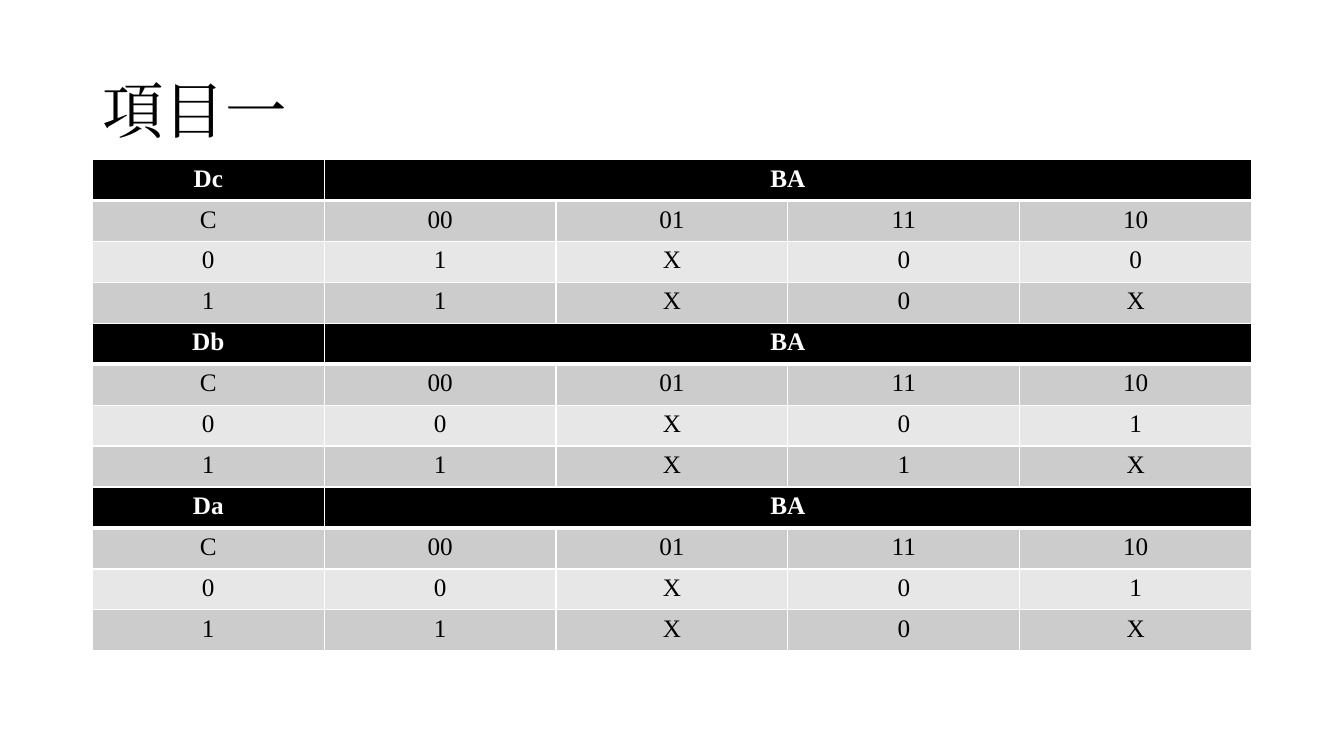
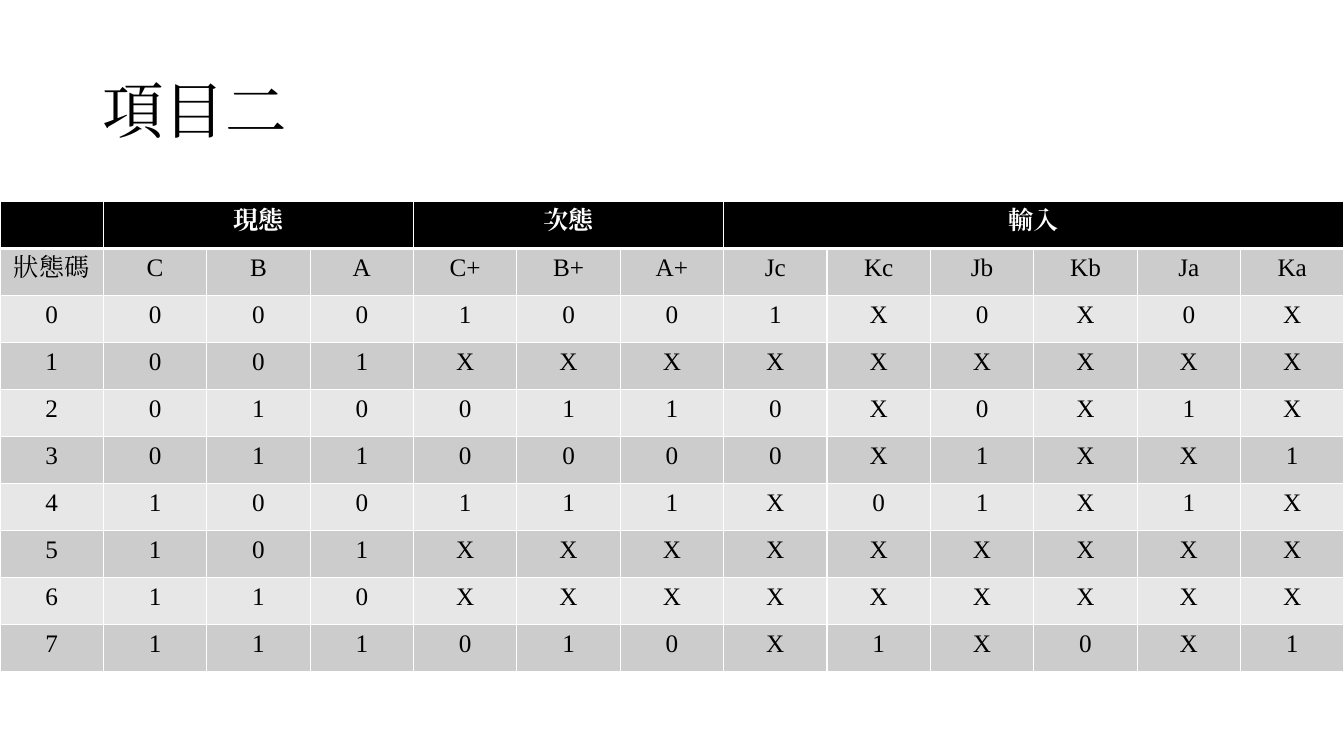
from lxml.etree import SubElement as Sub
from pptx import Presentation as Deck
from pptx.dml.color import RGBColor as RGB
from pptx.enum.lang import MSO_LANGUAGE_ID as Lang
from pptx.enum.text import MSO_ANCHOR as Anchor, PP_ALIGN as Align
from pptx.oxml.ns import qn
from pptx.util import Pt

INK = {"head": "000000", "odd": "CCCCCC", "even": "E7E7E7",
       "text": "000000", "line": "FFFFFF"}
FONT = "Times New Roman"
WIDE, HIGH = 960, 540
EDGE = 66


def write(frame, text, size=18, ink="text", bold=False, align=Align.CENTER, lead=1.0):
    para = frame.paragraphs[0]
    para.alignment = align
    para.line_spacing = lead
    run = para.add_run()
    run.text = text
    font = run.font
    font.name, font.size, font.bold = FONT, Pt(size), bold
    font.color.rgb = RGB.from_string(INK[ink])
    font.language_id = Lang.TRADITIONAL_CHINESE
    Sub(run._r.get_or_add_rPr(), qn("a:ea"), typeface=FONT)


def rule(cell, top, low):
    props = cell._tc.get_or_add_tcPr()
    for side, width in (("L", 1), ("R", 1), ("T", top), ("B", low)):
        line = Sub(props, qn(f"a:ln{side}"), w=str(Pt(width)))
        fill = Sub(line, qn("a:solidFill"))
        Sub(fill, qn("a:srgbClr"), val=INK["line"])


class Board:
    def __init__(self):
        self.deck = Deck()
        self.deck.slide_width, self.deck.slide_height = Pt(WIDE), Pt(HIGH)
        self.slide = None

    def page(self, title):
        self.slide = self.deck.slides.add_slide(self.deck.slide_layouts[6])
        box = self.slide.shapes.add_textbox(
            Pt(EDGE), Pt(28.75), Pt(WIDE - 2 * EDGE), Pt(104.4))
        frame = box.text_frame
        frame.word_wrap = True
        frame.vertical_anchor = Anchor.MIDDLE
        write(frame, title, size=44, align=Align.LEFT, lead=0.9)

    def grid(self, left, top, width, step, heads, body):
        count = sum(span for _, span in heads)
        size = len(body) + 1
        table = self.slide.shapes.add_table(
            size, count, Pt(left), Pt(top), Pt(width), Pt(step * size)).table
        for col in table.columns:
            col.width = Pt(width / count)
        for row in table.rows:
            row.height = Pt(step)
        for y in range(size):
            for x in range(count):
                self.cell(table.cell(y, x), y)
        x = 0
        for text, span in heads:
            cell = table.cell(0, x)
            if span > 1:
                cell.merge(table.cell(0, x + span - 1))
            if text:
                write(cell.text_frame, text, ink="line", bold=True)
            x += span
        for y, row in enumerate(body, 1):
            for x, text in enumerate(row.split()):
                write(table.cell(y, x).text_frame, text)

    def cell(self, cell, y):
        rule(cell, 3 if y == 1 else 1, 3 if y == 0 else 1)
        tone = "head" if y == 0 else "odd" if y % 2 else "even"
        cell.fill.solid()
        cell.fill.fore_color.rgb = RGB.from_string(INK[tone])


def main():
    board = Board()
    board.page("項目一")
    maps = {
        "Dc": ["0 1 X 0 0", "1 1 X 0 X"],
        "Db": ["0 0 X 0 1", "1 1 X 1 X"],
        "Da": ["0 0 X 0 1", "1 1 X 0 X"],
    }
    for i, (name, rows) in enumerate(maps.items()):
        board.grid(EDGE, 114 + 117 * i, WIDE - 2 * EDGE, 29.2,
                   [(name, 1), ("BA", 4)], ["C 00 01 11 10"] + rows)

    board.page("項目二")
    board.grid(0, 144, WIDE, 33.6,
               [("", 1), ("現態", 3), ("次態", 3), ("輸入", 6)],
               ["狀態碼 C B A C+ B+ A+ Jc Kc Jb Kb Ja Ka",
                "0 0 0 0 1 0 0 1 X 0 X 0 X",
                "1 0 0 1 X X X X X X X X X",
                "2 0 1 0 0 1 1 0 X 0 X 1 X",
                "3 0 1 1 0 0 0 0 X 1 X X 1",
                "4 1 0 0 1 1 1 X 0 1 X 1 X",
                "5 1 0 1 X X X X X X X X X",
                "6 1 1 0 X X X X X X X X X",
                "7 1 1 1 0 1 0 X 1 X 0 X 1"])
    board.deck.save("out.pptx")


if __name__ == "__main__":
    main()
